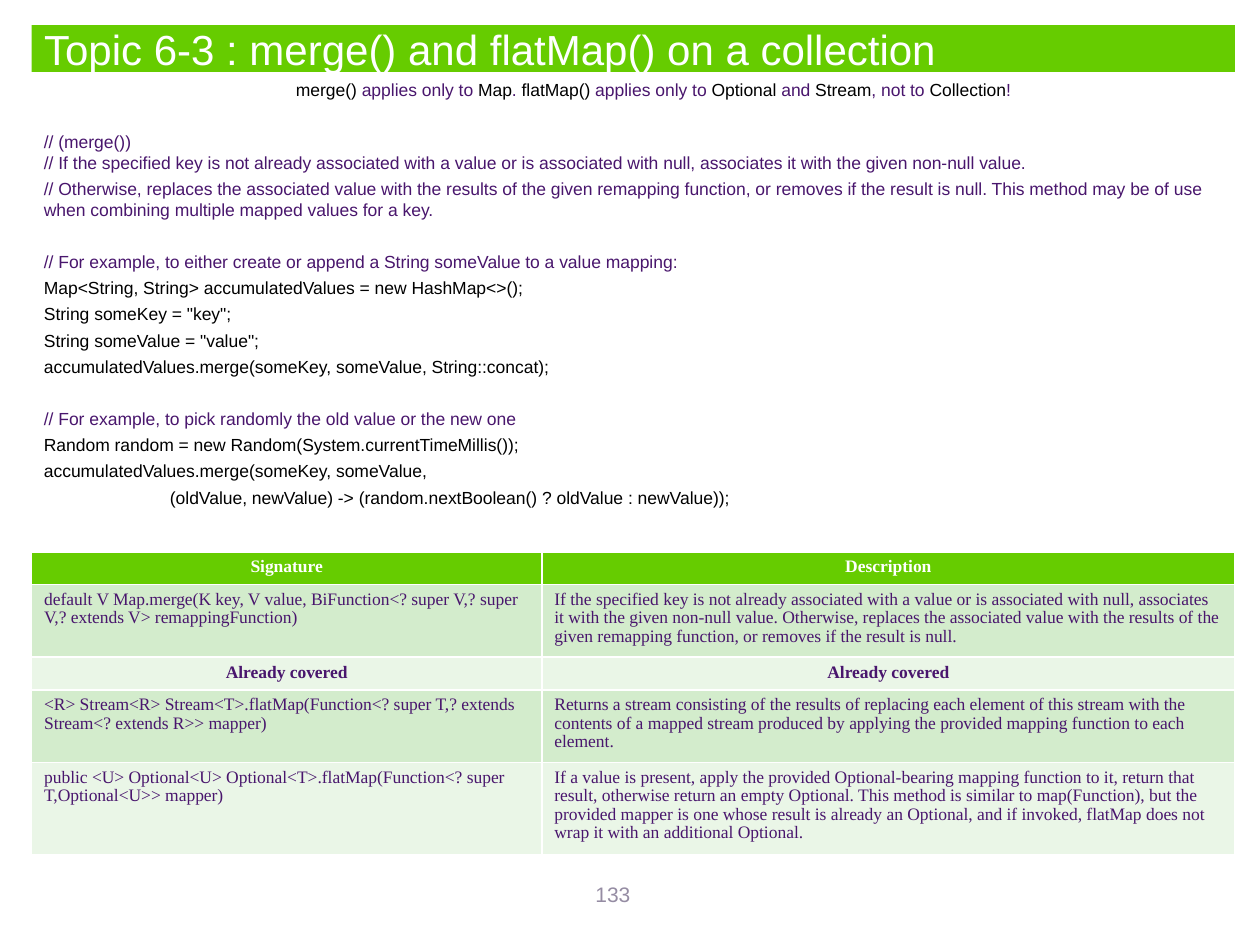
from typing import NamedTuple

import pptx
import pptx.dml.color
import pptx.enum.text
import pptx.util

GREEN, PURPLE, BLACK, WHITE = "66CC00", "49166D", "000000", "FFFFFF"
GREY, BAND_DARK, BAND_LIGHT = "958CA3", "D3ECCC", "EAF6E7"
SANS, SERIF = "Arial", "Times New Roman"
ALIGN, ANCHOR = pptx.enum.text.PP_ALIGN, pptx.enum.text.MSO_ANCHOR
W, H = 10, 7.5
LEFT, WIDTH = 0.025 * W, 0.955 * W
LINE_GAP, BLOCK_GAP = 3, 17.5


class Run(NamedTuple):
    text: str
    color: str = BLACK


class Line(NamedTuple):
    runs: list[Run]
    gap: float = LINE_GAP
    indent: float = 0


class Row(NamedTuple):
    height: float
    fill: str
    cells: tuple[str, str]
    heading: bool = False


def rgb(color: str) -> pptx.dml.color.RGBColor:
    return pptx.dml.color.RGBColor.from_string(color)


def add_run(p, text: str, size: float, color: str, font: str = SANS, bold: bool = False) -> None:
    r = p.add_run()
    r.text = text
    r.font.size, r.font.name, r.font.bold = pptx.util.Pt(size), font, bold
    r.font.color.rgb = rgb(color)


def place(sp, left: float, top: float, width: float, height: float) -> None:
    sp.left, sp.top, sp.width, sp.height = map(pptx.util.Inches, (left, top, width, height))


def add_textbox(s, left: float, top: float, width: float, height: float):
    box = (pptx.util.Inches(v) for v in (left, top, width, height))
    tf = s.shapes.add_textbox(*box).text_frame
    tf.word_wrap = True
    return tf


def add_title(s, text: str) -> None:
    sp = s.shapes.title
    place(sp, LEFT, 0.2, WIDTH, 0.37)
    sp.fill.solid()
    sp.fill.fore_color.rgb = rgb(GREEN)
    tf = sp.text_frame
    tf.auto_size = pptx.enum.text.MSO_AUTO_SIZE.NONE
    tf.vertical_anchor = ANCHOR.MIDDLE
    p = tf.paragraphs[0]
    p.alignment = ALIGN.LEFT
    add_run(p, text, 24, WHITE)


def add_lines(s, lines: list[Line]) -> None:
    tf = add_textbox(s, LEFT, 0.58, WIDTH, 3.7)
    for i, line in enumerate(lines):
        p = tf.add_paragraph() if i else tf.paragraphs[0]
        p.space_before = pptx.util.Pt(line.gap)
        if line.indent:
            p._p.get_or_add_pPr().set("marL", str(pptx.util.Inches(line.indent)))
        for run in line.runs:
            for j, part in enumerate(run.text.split("\n")):
                if j:
                    p.add_line_break()
                add_run(p, part, 10, run.color)


def add_methods_table(s, rows: list[Row], col_widths: tuple[float, float]) -> None:
    height = sum(row.height for row in rows)
    box = (pptx.util.Inches(v) for v in (LEFT, 4.38, WIDTH, height))
    table = s.shapes.add_table(len(rows), len(col_widths), *box).table
    for column, width in zip(table.columns, col_widths):
        column.width = pptx.util.Inches(width)
    for i, row in enumerate(rows):
        table.rows[i].height = pptx.util.Inches(row.height)
        for cell, text in zip(table.rows[i].cells, row.cells):
            cell.fill.solid()
            cell.fill.fore_color.rgb = rgb(row.fill)
            p = cell.text_frame.paragraphs[0]
            p.alignment = ALIGN.CENTER if row.heading else ALIGN.LEFT
            p.line_spacing = 0.95
            add_run(p, text, 10, PURPLE if i else WHITE, SERIF, row.heading)


def comment(text: str, gap: float = LINE_GAP) -> Line:
    return Line([Run(text, PURPLE)], gap)


def code(text: str, indent: float = 0) -> Line:
    return Line([Run(text)], indent=indent)


LINES = [
    Line([Run("merge() "), Run("applies only to ", PURPLE), Run("Map"), Run(". ", PURPLE),
          Run("flatMap()"), Run(" applies only to ", PURPLE), Run("Optional"),
          Run(" and ", PURPLE), Run("Stream"), Run(", not to ", PURPLE),
          Run("Collection"), Run("!", PURPLE)], indent=2),
    comment("// (merge())\n// If the specified key is not already associated with a value or is "
            "associated with null, associates it with the given non-null value.", BLOCK_GAP),
    comment("// Otherwise, replaces the associated value with the results of the given remapping "
            "function, or removes if the result is null. This method may be of use when "
            "combining multiple mapped values for a key."),
    comment("// For example, to either create or append a String someValue to a value mapping:",
            BLOCK_GAP),
    code("Map<String, String> accumulatedValues = new HashMap<>();"),
    code('String someKey = "key";'),
    code('String someValue = "value";'),
    code("accumulatedValues.merge(someKey, someValue, String::concat);"),
    comment("// For example, to pick randomly the old value or the new one", BLOCK_GAP),
    code("Random random = new Random(System.currentTimeMillis());"),
    code("accumulatedValues.merge(someKey, someValue,"),
    code("(oldValue, newValue) -> (random.nextBoolean() ? oldValue : newValue));", indent=1),
]

ROWS = [
    Row(0.25, GREEN, ("Signature", "Description"), True),
    Row(0.56, BAND_DARK, (
        "default V Map.merge(K key, V value, BiFunction<? super V,? super V,? extends V> "
        "remappingFunction)",
        "If the specified key is not already associated with a value or is associated with null, "
        "associates it with the given non-null value. Otherwise, replaces the associated value "
        "with the results of the given remapping function, or removes if the result is null.")),
    Row(0.25, BAND_LIGHT, ("Already covered", "Already covered"), True),
    Row(0.56, BAND_DARK, (
        "<R> Stream<R> Stream<T>.flatMap(Function<? super T,? extends Stream<? extends R>> mapper)",
        "Returns a stream consisting of the results of replacing each element of this stream with "
        "the contents of a mapped stream produced by applying the provided mapping function to "
        "each element.")),
    Row(0.71, BAND_LIGHT, (
        "public <U> Optional<U> Optional<T>.flatMap(Function<? super T,Optional<U>> mapper)",
        "If a value is present, apply the provided Optional-bearing mapping function to it, return "
        "that result, otherwise return an empty Optional. This method is similar to map(Function), "
        "but the provided mapper is one whose result is already an Optional, and if invoked, "
        "flatMap does not wrap it with an additional Optional.")),
]


def main() -> None:
    prs = pptx.Presentation()
    prs.slide_width, prs.slide_height = pptx.util.Inches(W), pptx.util.Inches(H)
    s = prs.slides.add_slide(prs.slide_layouts.get_by_name("Title Only"))

    # Title bar, explanation with code, method table
    add_title(s, "Topic 6-3 : merge() and flatMap() on a collection")
    add_lines(s, LINES)
    add_methods_table(s, ROWS, (4.05, 5.5))

    # Page number
    p = add_textbox(s, 3.7, 6.95, 2.33, 0.4).paragraphs[0]
    p.alignment = ALIGN.CENTER
    add_run(p, "133", 12, GREY)

    prs.save("out.pptx")


if __name__ == "__main__":
    main()
